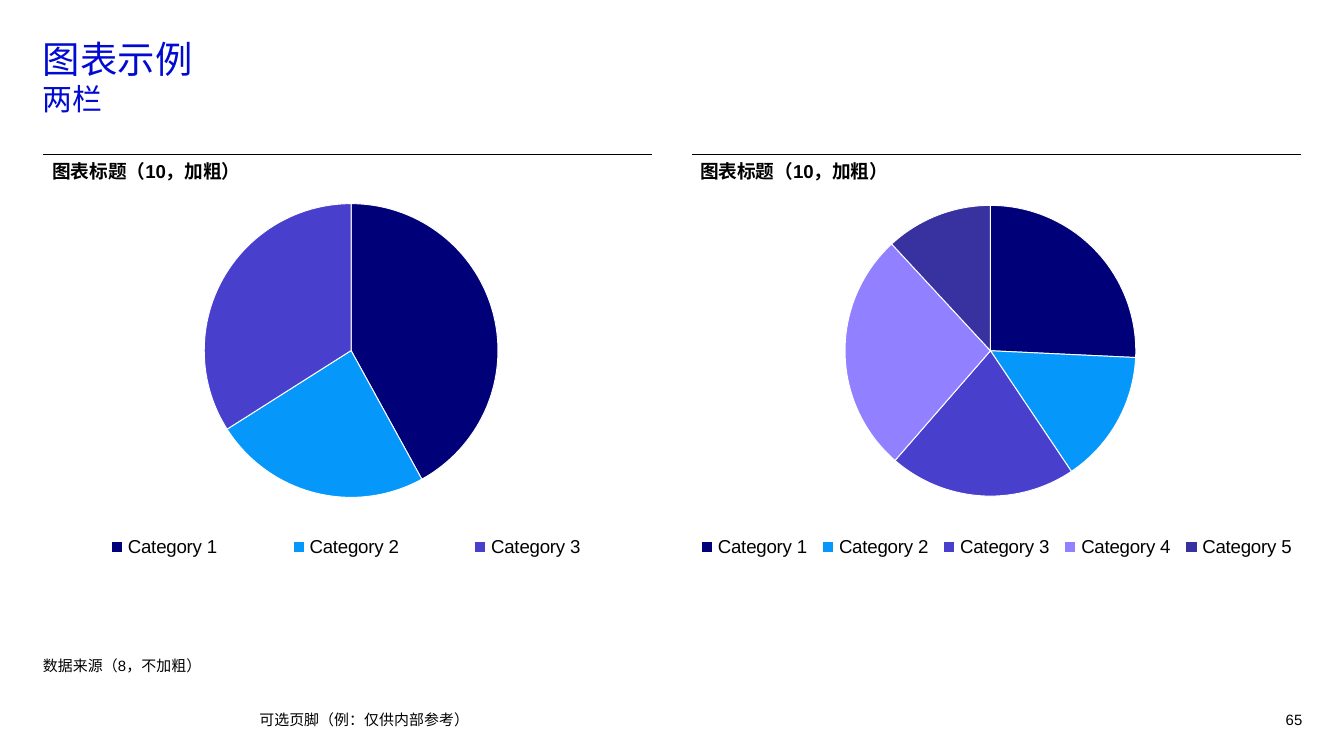
from dataclasses import dataclass

from lxml import etree
from pptx import Presentation
from pptx.chart.data import CategoryChartData
from pptx.dml.color import RGBColor
from pptx.enum.chart import XL_CHART_TYPE as ChartType, XL_LEGEND_POSITION as LegendPosition
from pptx.enum.shapes import MSO_CONNECTOR as Connector
from pptx.enum.text import MSO_ANCHOR as Anchor, PP_ALIGN as Align
from pptx.oxml.ns import qn
from pptx.util import Inches, Pt


@dataclass(frozen=True)
class Theme:
    font: str = "Arial"
    title_font: str = "Noto Sans CJK SC"
    text: str = "000000"
    title: str = "000AD2"
    gap: str = "FFFFFF"
    slices: tuple = ("000078", "0598FA", "483FCD", "9180FF", "3831A0")
    title_size: int = 20
    subtitle_size: int = 16
    chart_size: int = 10
    small_size: int = 8


THEME = Theme()

# Content
TITLE, SUBTITLE = "图表示例", "两栏"
CHART_TITLE = "图表标题（10，加粗）"
COLUMNS = [
    {"values": (42, 24, 34), "plot": (0.267, 0.113, 0.483, 0.694),
     "chart_left": 0.31, "font_size": THEME.chart_size, "inset": 0.01},
    {"values": (26, 15, 21, 27, 12), "plot": (0.251, 0.117, 0.478, 0.687),
     "chart_left": 5.15, "font_size": THEME.small_size, "inset": 0},
]
SOURCE = "数据来源（8，不加粗）"
FOOTER = "可选页脚（例：仅供内部参考）"
PAGE_NUMBER = "65"

# Grid: a 16:9 page with two columns
PAGE_WIDTH = Inches(10)
PAGE_HEIGHT = PAGE_WIDTH * 9 // 16
LEFT, WIDTH = 0.32, 9.37
COLUMN_WIDTH, COLUMN_STEP = 4.53, 4.83
RULE_TOP, CHART_HEIGHT = 1.15, 3.15
LEGEND_BOX = (0, 0.87, 1, 0.11)
FOOTER_TOP, FOOTER_HEIGHT = 5.28, 0.15


def color(value):
    return RGBColor.from_string(value)


def set_attributes(target, values):
    for name, value in values.items():
        setattr(target, name, value)


def set_font(font, size, name=THEME.font, fill=THEME.text, bold=False):
    set_attributes(font, {"size": Pt(size), "name": name, "bold": bold})
    font.color.rgb = color(fill)


def add_text(slide, box, lines, anchor=Anchor.TOP, align=Align.LEFT, spacing=None, inset=0):
    """Add a text box; each line is (text, format values for set_font)."""
    frame = slide.shapes.add_textbox(*map(Inches, box)).text_frame
    set_attributes(frame, {
        "word_wrap": True, "vertical_anchor": anchor, "margin_left": Inches(inset),
        "margin_top": 0, "margin_right": 0, "margin_bottom": 0,
    })
    paragraph = frame.paragraphs[0]
    set_attributes(paragraph, {"alignment": align, "line_spacing": spacing})
    for index, (text, style) in enumerate(lines):
        if index:
            paragraph.add_line_break()
        run = paragraph.add_run()
        run.text = text
        set_font(run.font, **style)


def add_rule(slide, left):
    rule = slide.shapes.add_connector(
        Connector.STRAIGHT, Inches(left), Inches(RULE_TOP),
        Inches(left + COLUMN_WIDTH), Inches(RULE_TOP))
    rule.line.color.rgb = color(THEME.text)
    rule.line.width = Pt(0.75)
    etree.SubElement(rule._element.spPr, qn("a:effectLst"))


def set_layout(element, position, box, inner=False):
    """Place a plot area or legend by fractions of the chart."""
    for layout in element.findall(qn("c:layout")):
        element.remove(layout)
    layout = etree.Element(qn("c:layout"))
    element.insert(position, layout)
    manual = etree.SubElement(layout, qn("c:manualLayout"))
    values = [("layoutTarget", "inner")] if inner else []
    values += [("xMode", "edge"), ("yMode", "edge"), *zip("xywh", box)]
    for name, value in values:
        etree.SubElement(manual, qn(f"c:{name}")).set("val", str(value))


def add_pie(slide, column):
    values = column["values"]
    data = CategoryChartData()
    data.categories = [f"Category {number}" for number in range(1, len(values) + 1)]
    data.add_series("Series 1", values)
    chart = slide.shapes.add_chart(
        ChartType.PIE, Inches(column["chart_left"]), Inches(RULE_TOP + 0.01),
        Inches(COLUMN_WIDTH), Inches(CHART_HEIGHT), data).chart
    set_attributes(chart, {"has_title": False, "has_legend": True})
    set_font(chart.font, column["font_size"])
    set_attributes(chart.legend, {"position": LegendPosition.RIGHT, "include_in_layout": False})
    set_font(chart.legend.font, THEME.chart_size)

    plot = chart.plots[0]
    plot.vary_by_categories = True
    for index in range(len(values)):
        slice_format = plot.series[0].points[index].format
        slice_format.fill.solid()
        slice_format.fill.fore_color.rgb = color(THEME.slices[index])
        slice_format.line.color.rgb = color(THEME.gap)
        slice_format.line.width = Pt(0.5)

    plot_area = chart._chartSpace.find(".//" + qn("c:plotArea"))
    set_layout(plot_area, 0, column["plot"], inner=True)
    set_layout(chart.legend._element, 1, LEGEND_BOX)


def main():
    presentation = Presentation()
    set_attributes(presentation, {"slide_width": PAGE_WIDTH, "slide_height": PAGE_HEIGHT})
    slide = presentation.slides.add_slide(presentation.slide_layouts[6])
    small = {"size": THEME.small_size}

    # Title and subtitle
    heading = {"name": THEME.title_font, "fill": THEME.title}
    add_text(slide, (LEFT, 0.27, WIDTH, 0.72), [
        (TITLE, {"size": THEME.title_size, **heading}),
        (SUBTITLE, {"size": THEME.subtitle_size, **heading}),
    ])

    # Two chart columns
    for index, column in enumerate(COLUMNS):
        left = LEFT + index * COLUMN_STEP
        add_rule(slide, left)
        add_pie(slide, column)
        add_text(slide, (left + 0.06, 1.19, 4.47, 0.17),
                 [(CHART_TITLE, {"size": THEME.chart_size, "bold": True})], inset=column["inset"])

    # Source, footer and page number
    add_text(slide, (LEFT, 4.49, WIDTH, 0.53), [(SOURCE, small)], Anchor.BOTTOM, spacing=1.1)
    add_text(slide, (1.93, FOOTER_TOP, 6.46, FOOTER_HEIGHT), [(FOOTER, small)], Anchor.MIDDLE)
    add_text(slide, (9.3, FOOTER_TOP, 0.39, FOOTER_HEIGHT), [(PAGE_NUMBER, small)],
             Anchor.MIDDLE, Align.RIGHT)

    presentation.save("out.pptx")


if __name__ == "__main__":
    main()
